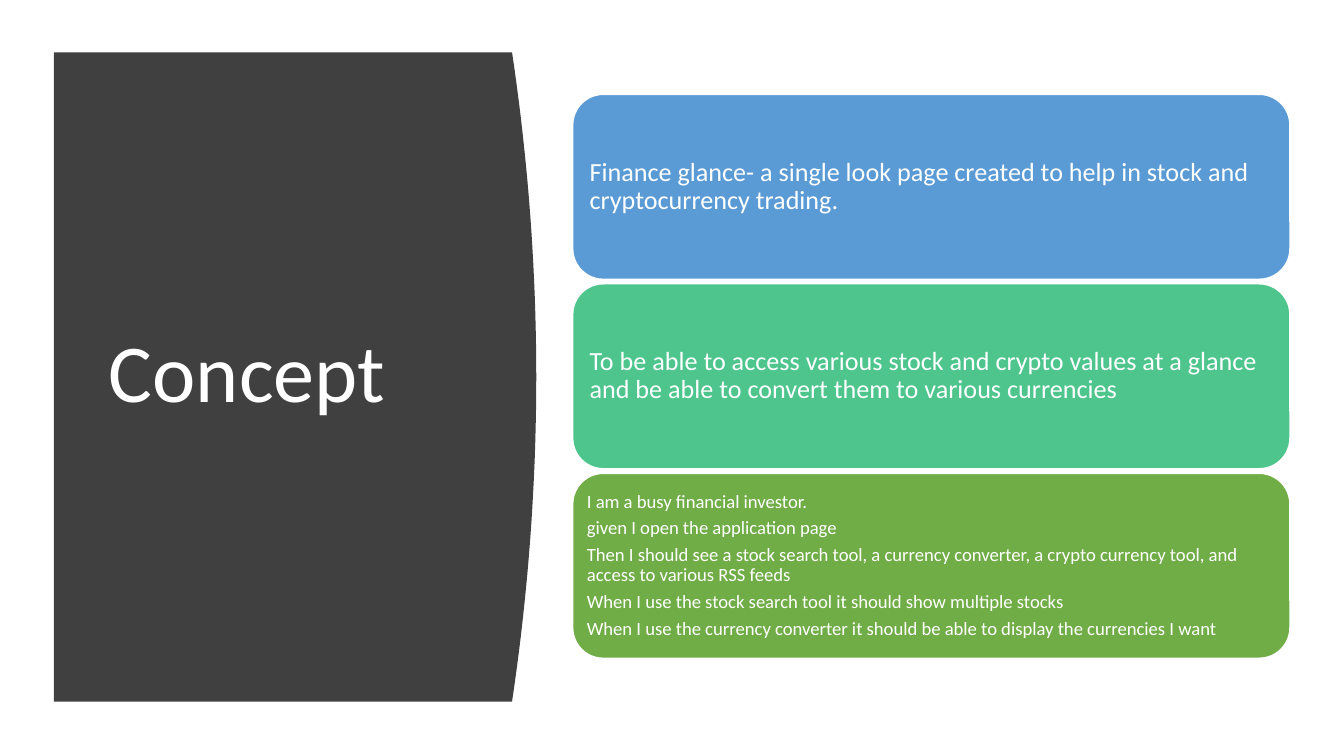
from pptx import Presentation
from pptx.dml.color import RGBColor
from pptx.enum.shapes import MSO_SHAPE
from pptx.enum.text import MSO_ANCHOR, MSO_AUTO_SIZE, PP_ALIGN
from pptx.util import Inches, Pt

ROUNDED = MSO_SHAPE.ROUNDED_RECTANGLE
MIDDLE = MSO_ANCHOR.MIDDLE
LEFT = PP_ALIGN.LEFT
NO_FIT = MSO_AUTO_SIZE.NONE

THEME = {
    "font": "Calibri",
    "white": RGBColor.from_string("FFFFFF"),
    "panel": RGBColor.from_string("404040"),
    "cards": [RGBColor.from_string(c) for c in ("5B9BD5", "4DC58D", "70AD47")],
    "title": 44,
    "body": 14,
    "small": 10,
}

CARDS = [
    (["Finance glance- a single look page created to help in stock and "
      "cryptocurrency trading."], THEME["body"], 0.06),
    (["To be able to access various stock and crypto values at a glance and "
      "be able to convert them to various currencies"], THEME["body"], 0.06),
    (["I am a busy financial investor.",
      "given I open the application page",
      "Then I should see a stock search tool, a currency converter, "
      "a crypto currency tool, and access to various RSS feeds",
      "When I use the stock search tool it should show multiple stocks",
      "When I use the currency converter it should be able to display "
      "the currencies I want"], THEME["small"], 0.04),
]


def style(p, size):
    p.alignment = LEFT
    p.line_spacing = 0.9
    p.font.name = THEME["font"]
    p.font.size = Pt(size)
    p.font.color.rgb = THEME["white"]


prs = Presentation()
prs.slide_width = Inches(10)
prs.slide_height = prs.slide_width * 9 // 16
s = prs.slides.add_slide(prs.slide_layouts[5])

panel_left, panel_top, panel_bottom = Inches(0.4), Inches(0.39), Inches(5.22)
panel_right, bulge, steps = Inches(3.81), Inches(0.18), 40
edge = []
for i in range(steps + 1):
    t = i / steps
    edge.append((panel_right + bulge * 4 * t * (1 - t),
                 panel_top + (panel_bottom - panel_top) * t))
fb = s.shapes.build_freeform(panel_left, panel_top)
fb.add_line_segments(edge + [(panel_left, panel_bottom)], close=True)
panel = fb.convert_to_shape()
panel.shadow.inherit = False
panel.fill.solid()
panel.fill.fore_color.rgb = THEME["panel"]
panel.line.fill.background()

title = s.shapes.title
s.shapes.element.append(title.element)
title.left, title.top = Inches(0.71), Inches(0.83)
title.width, title.height = Inches(2.8), Inches(3.93)
tf = title.text_frame
tf.text = "Concept"
tf.auto_size = NO_FIT
tf.vertical_anchor = MIDDLE
style(tf.paragraphs[0], THEME["title"])

card_left, card_top, card_width, card_height, pitch = 4.26, 0.7, 5.34, 1.38, 1.41
for row, ((lines, size, inset), color) in enumerate(zip(CARDS, THEME["cards"])):
    sp = s.shapes.add_shape(ROUNDED, Inches(card_left), Inches(card_top + row * pitch),
                            Inches(card_width), Inches(card_height))
    sp.shadow.inherit = False
    sp.fill.solid()
    sp.fill.fore_color.rgb = color
    sp.line.color.rgb = THEME["white"]
    sp.line.width = Pt(1)
    tf = sp.text_frame
    tf.word_wrap = True
    tf.vertical_anchor = MIDDLE
    tf.margin_left = tf.margin_right = tf.margin_top = tf.margin_bottom = Inches(inset)
    tf.text = "\n".join(lines)
    for p in tf.paragraphs:
        style(p, size)
        p.space_after = Pt(size * 0.35)

prs.save("out.pptx")
